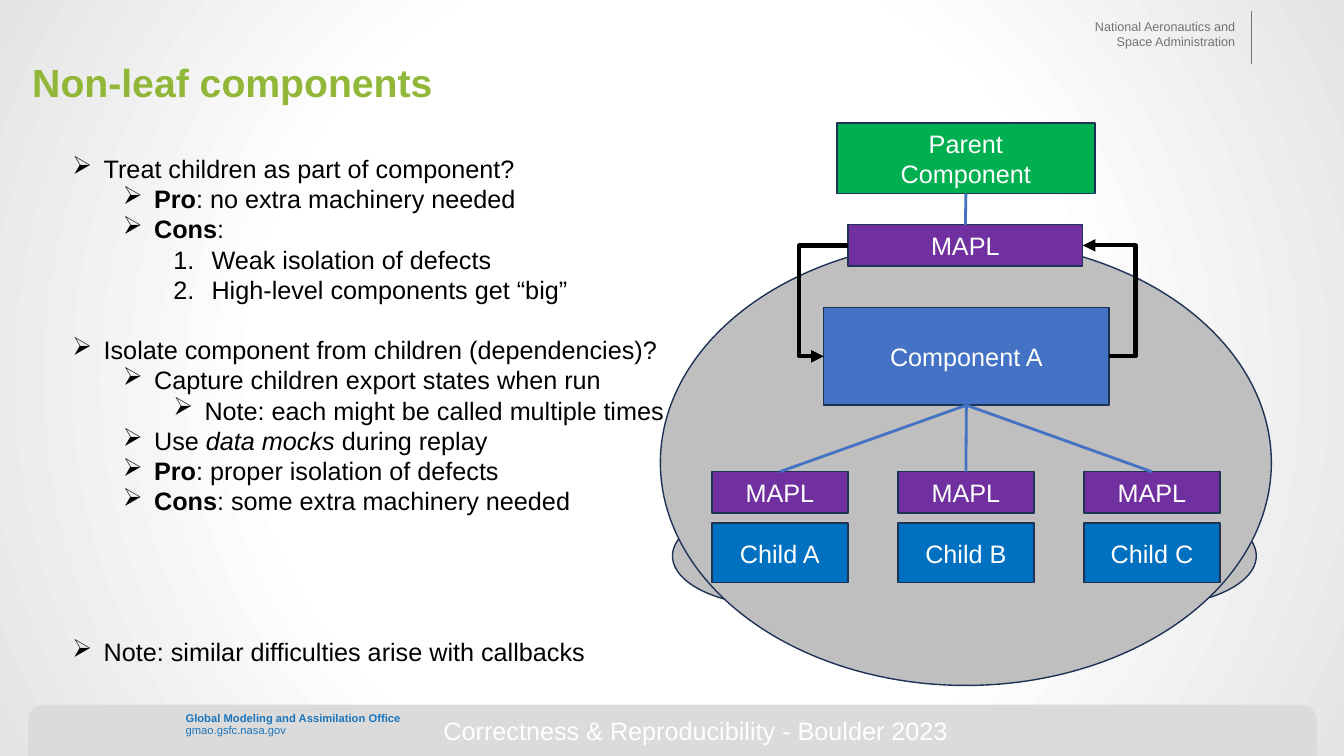
import pptx
import pptx.util
import pptx.dml.color
import pptx.enum.shapes
import pptx.enum.text
import pptx.oxml
import pptx.oxml.ns
from lxml import etree

Inches = pptx.util.Inches
Pt = pptx.util.Pt
RGB = pptx.dml.color.RGBColor
SHAPE = pptx.enum.shapes.MSO_SHAPE
LINK = pptx.enum.shapes.MSO_CONNECTOR
ALIGN = pptx.enum.text.PP_ALIGN
ANCHOR = pptx.enum.text.MSO_ANCHOR
qn = pptx.oxml.ns.qn

WHITE = RGB(0xFF, 0xFF, 0xFF)
BLACK = RGB(0, 0, 0)
EDGE = RGB(0xE4, 0xE4, 0xE4)
BAND = RGB(0xDB, 0xDB, 0xDB)
SKY = RGB(0x1C, 0x75, 0xBC)
DIM = RGB(0x76, 0x71, 0x71)
LIME = RGB(0x90, 0xB7, 0x37)
GRAY = RGB(0xBF, 0xBF, 0xBF)
NAVY = RGB(0x1E, 0x32, 0x56)
GREEN = RGB(0x00, 0xB0, 0x50)
BLUE = RGB(0x44, 0x72, 0xC4)
PURPLE = RGB(0x70, 0x30, 0xA0)
AZURE = RGB(0x00, 0x70, 0xC0)

# Content
TITLE = "Non-leaf components"
FOOTER = "Correctness & Reproducibility - Boulder 2023"
OFFICE = ["Global Modeling and Assimilation Office", "gmao.gsfc.nasa.gov"]
AGENCY = ["National Aeronautics and", "Space Administration"]
CHILDREN = ["Child A", "Child B", "Child C"]
OVALS = [  # left, top, width, height
    (10.39, 5.02, 2.07, 0.99),
    (8.55, 5.02, 2.07, 0.99),
    (6.67, 5.02, 2.07, 0.99),
    (7.59, 2.38, 3.98, 2.03),
    (6.55, 2.38, 6.06, 4.42),
]
# Kind of point, points of space before, runs as (text, style)
POINTS = [
    ("top", 0, [("Treat children as part of component?", "")]),
    ("sub", 0, [("Pro", "b"), (": no extra machinery needed", "")]),
    ("sub", 0, [("Cons", "b"), (":", "")]),
    ("num", 0, [("Weak isolation of defects", "")]),
    ("num", 0, [("High-level components get “big”", "")]),
    ("top", 21.5, [("Isolate component from children (dependencies)?", "")]),
    ("sub", 0, [("Capture children export states when run", "")]),
    ("low", 0, [("Note: each might be called multiple times", "")]),
    ("sub", 0, [("Use ", ""), ("data mocks ", "i"), ("during replay", "")]),
    ("sub", 0, [("Pro", "b"), (": proper isolation of defects", "")]),
    ("sub", 0, [("Cons", "b"), (": some extra machinery needed", "")]),
    ("top", 86, [("Note: similar difficulties arise with callbacks", "")]),
]
# Kind: level, left margin, hanging indent
INDENTS = {
    "top": (0, 0.31, 0.31),
    "sub": (1, 0.81, 0.31),
    "low": (2, 1.31, 0.31),
    "num": (2, 1.38, 0.38),
}

deck = pptx.Presentation()
deck.slide_width, deck.slide_height = Inches(13.33), Inches(7.5)
slide = deck.slides.add_slide(deck.slide_layouts[6])
shapes = slide.shapes


def style(para, size, color, bold=False):
    font = para.font
    font.name, font.size, font.bold = "Arial", Pt(size), bold
    font.color.rgb = color


def add_text(place, lines, size, color, inset=True, bold=False,
             align=ALIGN.LEFT, space=None, anchor=ANCHOR.TOP):
    frame = shapes.add_textbox(*map(Inches, place)).text_frame
    frame.word_wrap = True
    frame.vertical_anchor = anchor
    if not inset:
        frame.margin_left = frame.margin_right = 0
        frame.margin_top = frame.margin_bottom = 0
    frame.text = "\n".join(lines)
    for para in frame.paragraphs:
        para.alignment = align
        para.line_spacing = space
        style(para, size, color, bold)
    return frame


def add_form(kind, place, fill, line=NAVY, lines=()):
    form = shapes.add_shape(kind, *map(Inches, place))
    form.shadow.inherit = False
    form.fill.solid()
    form.fill.fore_color.rgb = fill
    if line is None:
        form.line.fill.background()
    else:
        form.line.color.rgb = line
        form.line.width = Pt(1)
    if lines:
        frame = form.text_frame
        frame.vertical_anchor = ANCHOR.MIDDLE
        frame.text = "\n".join(lines)
        for para in frame.paragraphs:
            para.alignment = ALIGN.CENTER
            style(para, 18, WHITE)
    return form


def add_line(color, width, kind=LINK.STRAIGHT, ends=(0, 0, 0, 0)):
    line = shapes.add_connector(kind, *map(Inches, ends))
    line.line.color.rgb = color
    line.line.width = Pt(width)
    etree.SubElement(line.element.spPr, qn("a:effectLst"))
    return line


def join(start, exit, end, entry, color=BLUE, width=2, kind=LINK.STRAIGHT):
    line = add_line(color, width, kind)
    line.begin_connect(start, exit)
    line.end_connect(end, entry)
    return line


def add_loop(start, exit, end, entry, bend):
    line = join(start, exit, end, entry, BLACK, 3, LINK.ELBOW)
    props = line.element.spPr
    guides = props.find(qn("a:prstGeom")).get_or_add_avLst()
    etree.SubElement(guides, qn("a:gd"), name="adj1", fmla=f"val {bend}")
    etree.SubElement(props.find(qn("a:ln")), qn("a:tailEnd"), type="triangle")


# Background: radial gradient
fill = slide.background.fill
fill.gradient()
for stop, spot, color in zip(fill.gradient_stops, (0.52, 1), (WHITE, EDGE)):
    stop.position = spot
    stop.color.rgb = color
lin = next(slide.element.iter(qn("a:lin")))
ring = etree.Element(qn("a:path"), path="circle")
etree.SubElement(ring, qn("a:fillToRect"),
                 dict.fromkeys("ltrb", "50000"))
lin.getparent().replace(lin, ring)

# Header and footer
band = add_form(SHAPE.ROUND_2_SAME_RECTANGLE, (0.28, 6.99, 12.78, 0.51), BAND, None)
band.adjustments[0] = 0.3
office = add_text((1.84, 7.07, 2.82, 0.24), OFFICE, 8, SKY, inset=False, space=0.9)
office.paragraphs[0].font.bold = True
add_text((10.71, 0.19, 1.54, 0.3), AGENCY, 9, DIM, inset=False, align=ALIGN.RIGHT)
add_line(DIM, 0.5, ends=(12.41, 0.11, 12.41, 0.64))

# Component diagram
for oval in OVALS:
    add_form(SHAPE.OVAL, oval, GRAY)
RECT = SHAPE.RECTANGLE
parent = add_form(RECT, (8.3, 1.22, 2.56, 0.7), GREEN, lines=["Parent", "Component"])
main = add_form(RECT, (8.17, 3.05, 2.83, 0.97), BLUE, lines=["Component A"])
cap = add_form(RECT, (8.41, 2.23, 2.33, 0.41), PURPLE, lines=["MAPL"])
add_loop(main, 3, cap, 3, -100900)
add_loop(cap, 1, main, 1, 200900)
join(parent, 2, cap, 0)
for i, child in enumerate(CHILDREN):
    left = 7.06 + i * 1.845
    add_form(RECT, (left, 5.19, 1.35, 0.59), AZURE, lines=[child])
    wrap = add_form(RECT, (left, 4.68, 1.35, 0.41), PURPLE, lines=["MAPL"])
    join(wrap, 0, main, 2)

# Title and footer line
add_text((0.32, 0.21, 10.07, 1.26), [TITLE], 28, LIME, inset=False, bold=True,
         space=0.9, anchor=ANCHOR.MIDDLE)
add_text((4.3, 7.05, 5.79, 0.4), [FOOTER], 18, WHITE)

# Points
body = add_text((0.62, 1.47, 6.52, 5.25), [""], 18, BLACK)
for i, (kind, gap, runs) in enumerate(POINTS):
    para = body.add_paragraph() if i else body.paragraphs[0]
    level, left, hang = INDENTS[kind]
    para.level = level
    props = para._p.get_or_add_pPr()
    props.set("marL", str(Inches(left)))
    props.set("indent", str(-Inches(hang)))
    if kind == "num":
        mark = etree.Element(qn("a:buAutoNum"), type="arabicPeriod")
    else:
        mark = etree.Element(qn("a:buChar"), char="➢")
    props.insert_element_before(mark, "a:tabLst", "a:defRPr", "a:extLst")
    if gap:
        para.space_before = Pt(gap)
    style(para, 18, BLACK)
    for text, look in runs:
        run = para.add_run()
        run.text = text
        if look == "b":
            run.font.bold = True
        elif look == "i":
            run.font.italic = True

deck.save("out.pptx")
